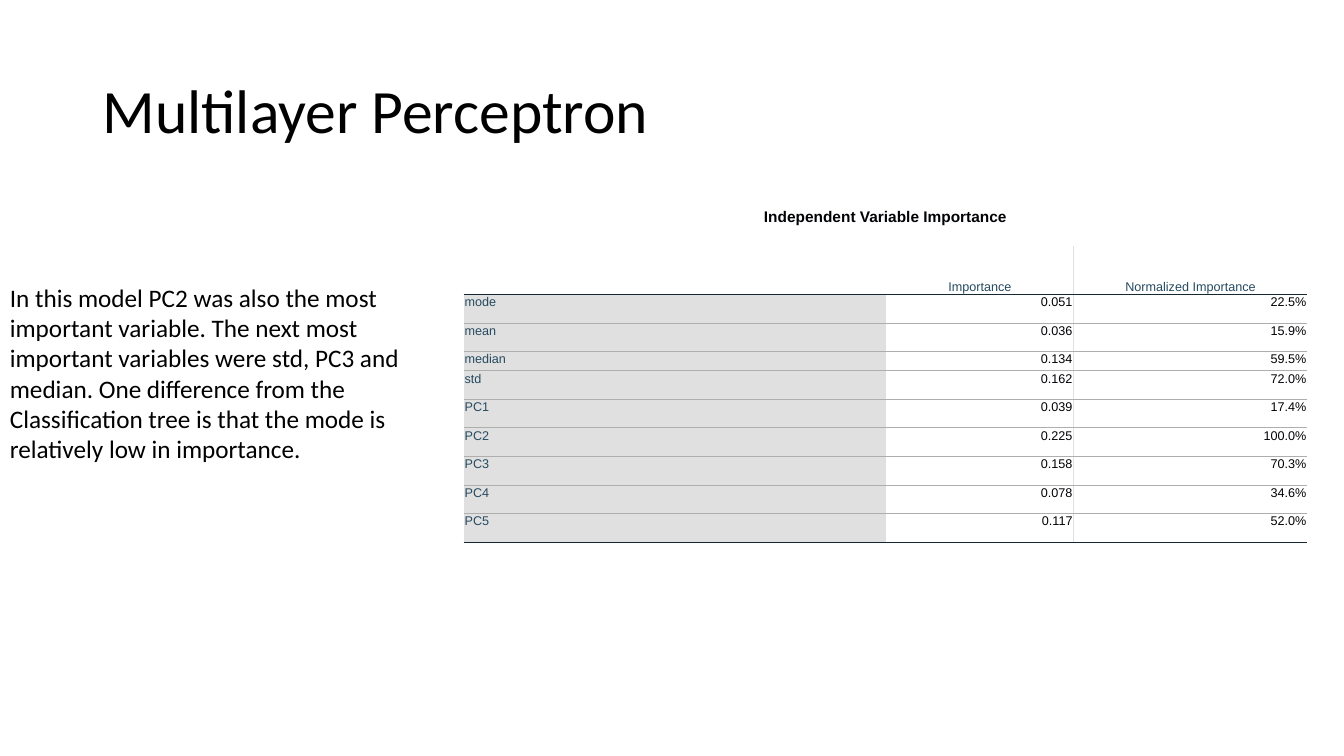
from lxml import etree
from pptx import Presentation
from pptx import util as u
from pptx.dml import color
from pptx.enum import text as t
from pptx.oxml import ns

INK, LABEL, GREY, RULE, EDGE = "010205", "264A60", "E0E0E0", "AEAEAE", "152935"
HEADINGS = ["", "Importance", "Normalized Importance"]
IMPORTANCE = [
    ("mode", "0.051", "22.5%"),
    ("mean", "0.036", "15.9%"),
    ("median", "0.134", "59.5%"),
    ("std", "0.162", "72.0%"),
    ("PC1", "0.039", "17.4%"),
    ("PC2", "0.225", "100.0%"),
    ("PC3", "0.158", "70.3%"),
    ("PC4", "0.078", "34.6%"),
    ("PC5", "0.117", "52.0%"),
]
FINDING = (
    "In this model PC2 was also the most important variable. The next most important "
    "variables were std, PC3 and median. One difference from the Classification tree "
    "is that the mode is relatively low in importance."
)


def rgb(value):
    return color.RGBColor.from_string(value)


def write(frame, words, size=9, font="Arial", ink=INK, bold=False, align="LEFT", spacing=None):
    paragraph = frame.paragraphs[0]
    paragraph.alignment = getattr(t.PP_ALIGN, align)
    paragraph.line_spacing = spacing
    paragraph.font.size = u.Pt(size)
    if words:
        run = paragraph.add_run()
        run.text = words
        run.font.size, run.font.name, run.font.bold = u.Pt(size), font, bold
        run.font.color.rgb = rgb(ink)


class Deck:
    """Lays out elements on a slide grid of 32 columns by 18 rows."""

    def __init__(self):
        self.show = Presentation()
        self.show.slide_width, self.show.slide_height = u.Inches(13.33), u.Inches(7.5)
        self.slide = self.show.slides.add_slide(self.show.slide_layouts[5])

    def cols(self, count):
        return round(self.show.slide_width * count / 32)

    def rows(self, count):
        return round(self.show.slide_height * count / 18)

    def box(self, x, y, w, h):
        return self.cols(x), self.rows(y), self.cols(w), self.rows(h)

    def title(self, words, *place):
        heading = self.slide.shapes.title
        heading.left, heading.top, heading.width, heading.height = self.box(*place)
        heading.text_frame.vertical_anchor = t.MSO_ANCHOR.MIDDLE
        write(heading.text_frame, words, size=44, font="Calibri", ink="000000", spacing=0.9)

    def paragraph(self, words, *place):
        frame = self.slide.shapes.add_textbox(*self.box(*place)).text_frame
        frame.word_wrap = True
        frame.auto_size = t.MSO_AUTO_SIZE.SHAPE_TO_FIT_TEXT
        write(frame, words, size=18, font="Calibri", ink="000000")

    def table(self, x, y, widths, heights):
        place = self.box(x, y, sum(widths), sum(heights))
        grid = self.slide.shapes.add_table(len(heights), len(widths), *place).table
        grid.first_row = grid.horz_banding = False
        for column, width in zip(grid.columns, widths):
            column.width = self.cols(width)
        for row, height in zip(grid.rows, heights):
            row.height = self.rows(height)
        return grid

    def cell(self, cell, words, anchor="TOP", fill=None, borders=None, **style):
        cell.margin_left = cell.margin_right = cell.margin_top = u.Inches(0.01)
        cell.margin_bottom = 0
        cell.vertical_anchor = getattr(t.MSO_ANCHOR, anchor)
        write(cell.text_frame, words, **style)
        if fill:
            cell.fill.solid()
            cell.fill.fore_color.rgb = rgb(fill)
        else:
            cell.fill.background()
        properties = cell._tc.get_or_add_tcPr()
        for index, side in enumerate("LRTB"):
            line = etree.Element(ns.qn("a:ln" + side), w=str(u.Pt(0.5)))
            stroke = (borders or {}).get(side)
            paint = etree.SubElement(line, ns.qn("a:solidFill" if stroke else "a:noFill"))
            if stroke:
                etree.SubElement(paint, ns.qn("a:srgbClr"), val=stroke)
            properties.insert(index, line)


def main():
    deck = Deck()
    deck.title("Multilayer Perceptron", 2.2, 0.96, 27.6, 3.48)

    heights = [1.42, 1.15] + [0.46 if name == "median" else 0.68 for name, *_ in IMPORTANCE]
    importance = deck.table(11.04, 4.44, [10.06, 4.46, 5.57], heights)
    importance.cell(0, 0).merge(importance.cell(0, 2))
    deck.cell(importance.cell(0, 0), "Independent Variable Importance",
              anchor="MIDDLE", size=11, bold=True, align="CENTER")

    dividers = [{}, {"R": GREY}, {"L": GREY}]
    for column, heading in enumerate(HEADINGS):
        deck.cell(importance.cell(1, column), heading, anchor="BOTTOM", ink=LABEL,
                  align="CENTER", borders={**dividers[column], "B": EDGE})
    for row, record in enumerate(IMPORTANCE):
        rules = {"T": RULE if row else EDGE,
                 "B": EDGE if row == len(IMPORTANCE) - 1 else RULE}
        for column, words in enumerate(record):
            look = {"align": "RIGHT"} if column else {"ink": LABEL, "fill": GREY}
            deck.cell(importance.cell(row + 2, column), words,
                      borders={**dividers[column], **rules}, **look)

    deck.paragraph(FINDING, 0, 6.6, 10.58, 4.61)
    deck.show.save("out.pptx")


if __name__ == "__main__":
    main()
